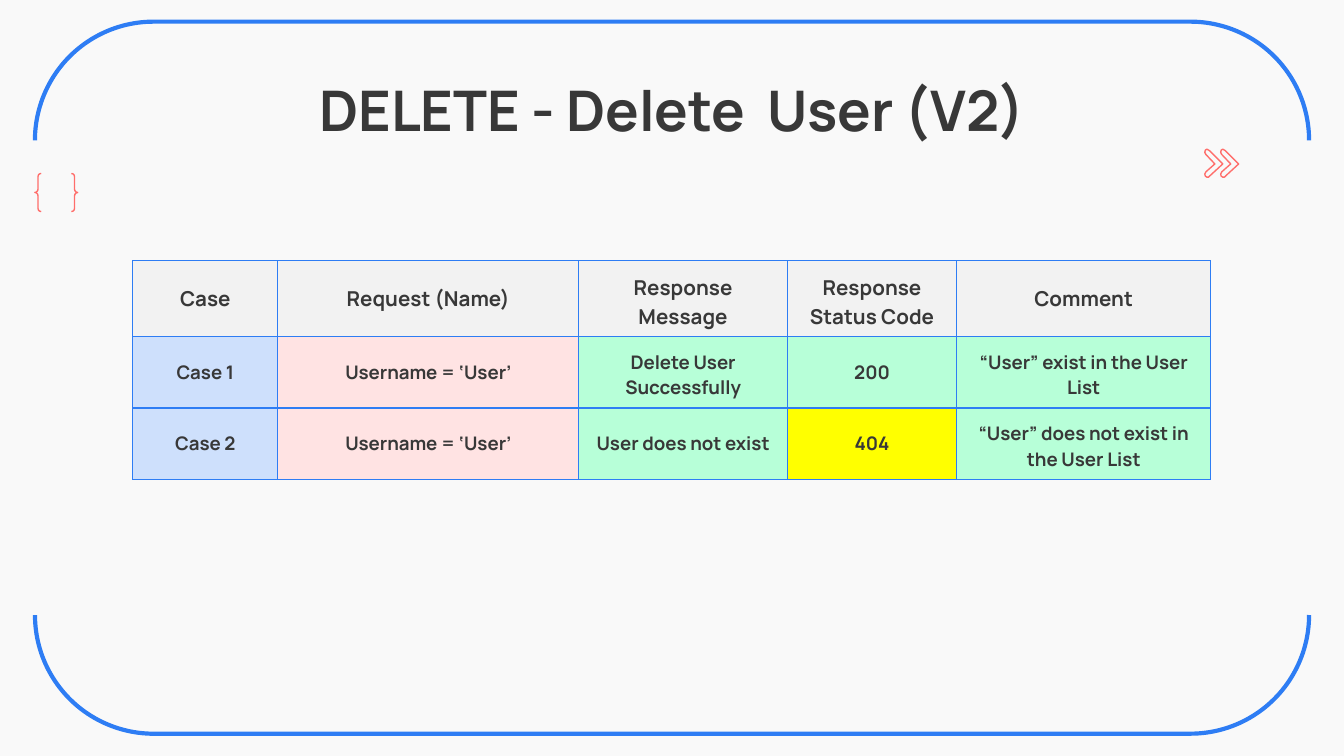
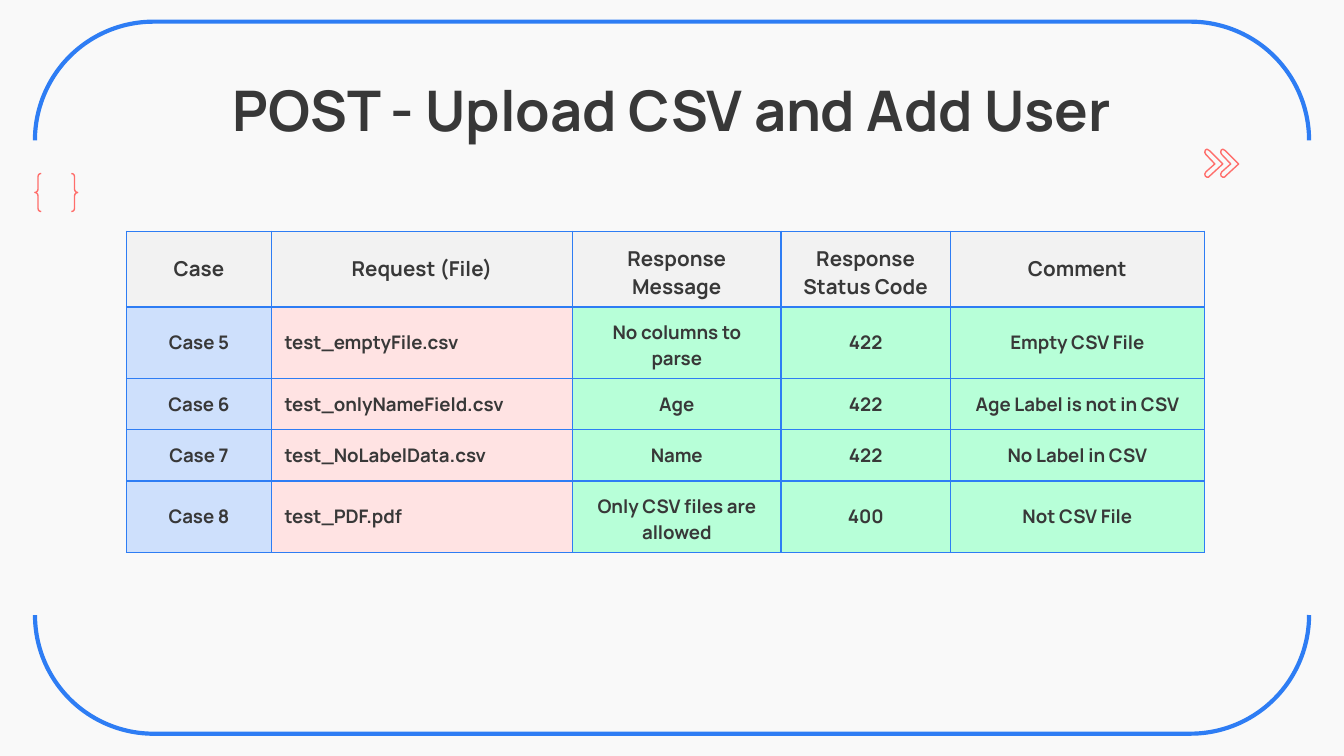
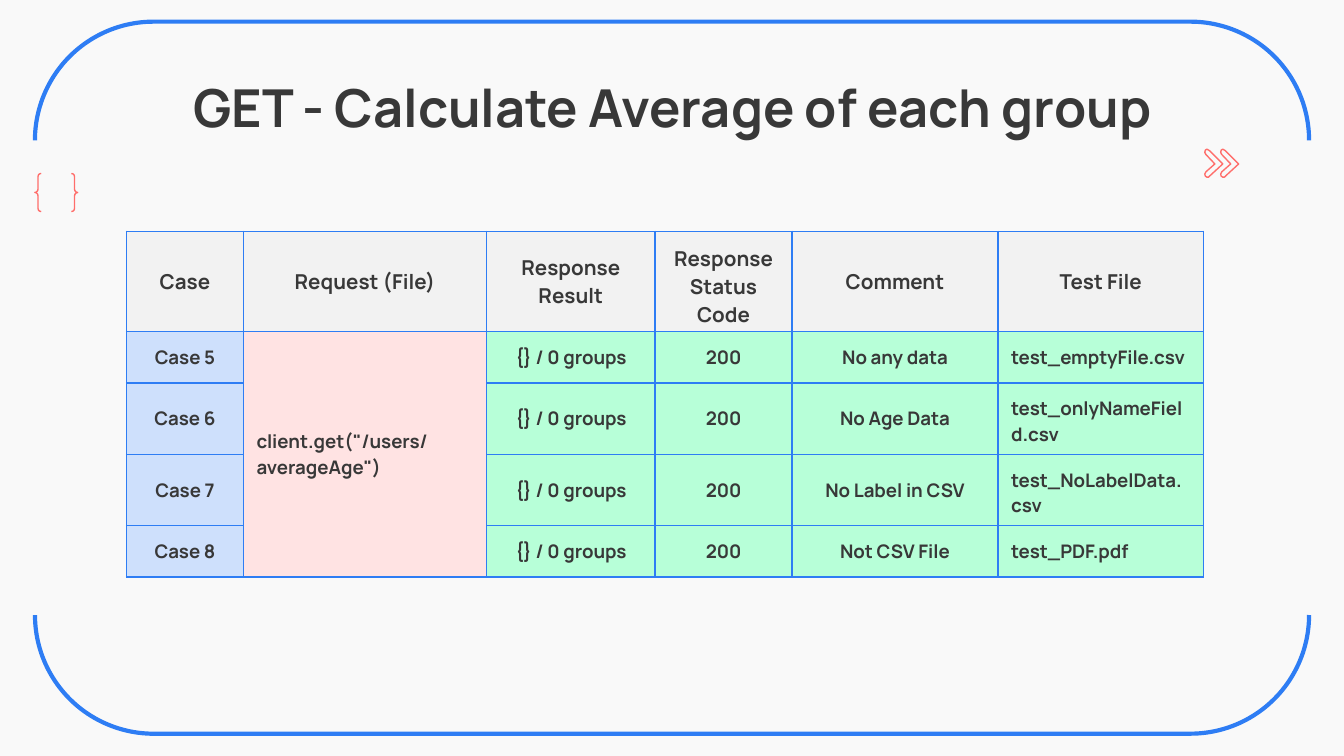
from lxml import etree
from pptx import Presentation
from pptx import util as u
from pptx.dml.color import RGBColor
from pptx.enum import shapes, text
from pptx.oxml import ns

Cm, Pt = u.Cm, u.Pt

PAPER = RGBColor(0xF9, 0xF9, 0xF9)
INK = RGBColor(0x38, 0x38, 0x38)
BLUE = RGBColor(0x2E, 0x7D, 0xF4)
CORAL = RGBColor(0xFF, 0x6E, 0x6B)
GRAY = RGBColor(0xF2, 0xF2, 0xF2)
PALE_BLUE = RGBColor(0xCE, 0xE0, 0xFC)
PINK = RGBColor(0xFF, 0xE3, 0xE3)
MINT = RGBColor(0xB7, 0xFF, 0xD8)
YELLOW = RGBColor(0xFF, 0xFF, 0x00)

FONT = "Manrope"
INSET = Cm(0.25)
ROW_HEIGHT = Cm(0.97)
CHEVRON = [(5, 0), (2, 2), (1, 6), (3, 10), (20, 28), (3, 43), (1, 47),
           (2, 51), (5, 53), (8, 53), (10, 51), (35, 28), (10, 3)]
FIVE_COLUMNS = [2.74, 5.69, 3.94, 3.2, 4.8]
SIX_COLUMNS = [2.21, 4.6, 3.18, 2.59, 3.89, 3.89]

SLIDES = [
    dict(
        title="DELETE - Delete  User (V2)", title_size=30,
        at=(2.51, 4.93), height=4.14, widths=FIVE_COLUMNS, left_columns=(),
        rows=[
            ["Case", "Request (Name)", "Response Message", "Response Status Code", "Comment"],
            ["Case 1", "Username = ‘User’", "Delete User Successfully", "200",
             "“User” exist in the User List"],
            ["Case 2", "Username = ‘User’", "User does not exist", "404",
             "“User” does not exist in the User List"],
        ],
    ),
    dict(
        title="POST - Upload CSV and Add User", title_size=30,
        at=(2.39, 4.37), height=6.1, widths=FIVE_COLUMNS, left_columns=(1,),
        rows=[
            ["Case", "Request (File)", "Response Message", "Response Status Code", "Comment"],
            ["Case 5", "test_emptyFile.csv", "No columns to parse", "422", "Empty CSV File"],
            ["Case 6", "test_onlyNameField.csv", "Age", "422", "Age Label is not in CSV"],
            ["Case 7", "test_NoLabelData.csv", "Name", "422", "No Label in CSV"],
            ["Case 8", "test_PDF.pdf", "Only CSV files are allowed", "400", "Not CSV File"],
        ],
    ),
    dict(
        title="GET - Calculate Average of each group", title_size=28,
        at=(2.39, 4.37), height=6.93, widths=SIX_COLUMNS, left_columns=(1, 5),
        merge=((1, 1), (4, 1)),
        rows=[
            ["Case", "Request (File)", "Response Result", "Response Status Code", "Comment",
             "Test File"],
            ["Case 5", 'client.get("/users/averageAge")', "{} / 0 groups", "200",
             "No any data", "test_emptyFile.csv"],
            ["Case 6", None, "{} / 0 groups", "200", "No Age Data", "test_onlyNameField.csv"],
            ["Case 7", None, "{} / 0 groups", "200", "No Label in CSV", "test_NoLabelData.csv"],
            ["Case 8", None, "{} / 0 groups", "200", "Not CSV File", "test_PDF.pdf"],
        ],
    ),
]


def write(tf, words, size, align=text.PP_ALIGN.CENTER, after=0):
    tf.word_wrap = True
    p = tf.paragraphs[0]
    p.alignment = align
    p.space_after = Pt(after)
    r = p.add_run()
    r.text = words
    r.font.name = FONT
    r.font.size = Pt(size)
    r.font.bold = True
    r.font.color.rgb = INK


def outline(sp, color, width):
    sp.shadow.inherit = False
    sp.line.color.rgb = color
    sp.line.width = Pt(width)


def add_frame(s):
    s.background.fill.solid()
    s.background.fill.fore_color.rgb = PAPER
    for kind, box, turn, color, width in [
        (shapes.MSO_SHAPE.DOUBLE_BRACKET, (5.97, -4.9, 13.46, 24.08), 90, BLUE, 2.25),
        (shapes.MSO_SHAPE.DOUBLE_BRACE, (0.66, 3.28, 0.81, 0.72), 0, CORAL, 0.75),
    ]:
        sp = s.shapes.add_shape(kind, *map(Cm, box))
        sp.rotation = turn
        sp.fill.background()
        outline(sp, color, width)


def add_title(s, words, size):
    tf = s.shapes.add_textbox(Cm(2), Cm(1.24), Cm(21.41), Cm(1.6)).text_frame
    tf.margin_left = tf.margin_right = tf.margin_bottom = INSET
    tf.margin_top = Cm(0.18)
    write(tf, words, size)


def add_chevrons(s):
    group = s.shapes.add_group_shape()
    for left in (23.06, 22.76):
        fb = group.shapes.build_freeform(*CHEVRON[0], scale=Cm(0.01))
        fb.add_line_segments(CHEVRON[1:], close=True)
        sp = fb.convert_to_shape(Cm(left), Cm(2.82))
        sp.fill.solid()
        sp.fill.fore_color.rgb = PAPER
        outline(sp, CORAL, 0.75)


def add_borders(cell):
    tc_pr = cell._tc.get_or_add_tcPr()
    for side in ("a:lnL", "a:lnR", "a:lnT", "a:lnB"):
        ln = etree.SubElement(tc_pr, ns.qn(side), w=str(Pt(0.75)))
        fill = etree.SubElement(ln, ns.qn("a:solidFill"))
        etree.SubElement(fill, ns.qn("a:srgbClr"), val=str(BLUE))


def cell_color(row, column, words):
    if row == 0:
        return GRAY
    if words == "404":
        return YELLOW
    return (PALE_BLUE, PINK)[column] if column < 2 else MINT


def add_cases(s, rows, widths, at, height, left_columns, merge=None):
    frame = s.shapes.add_table(len(rows), len(widths), *map(Cm, at),
                               Cm(sum(widths)), Cm(height))
    table = frame.table
    table.first_row = table.horz_banding = False
    for column, width in zip(table.columns, widths):
        column.width = Cm(width)
    for row in table.rows:
        row.height = ROW_HEIGHT
    frame.height = Cm(height)
    for i, row in enumerate(rows):
        for j, words in enumerate(row):
            cell = table.cell(i, j)
            cell.margin_left = cell.margin_right = INSET
            cell.margin_top = cell.margin_bottom = INSET
            cell.vertical_anchor = text.MSO_ANCHOR.MIDDLE
            add_borders(cell)
            cell.fill.solid()
            cell.fill.fore_color.rgb = cell_color(i, j, words)
            if words:
                left = i > 0 and j in left_columns
                write(cell.text_frame, words, 10 if i else 11,
                      align=text.PP_ALIGN.LEFT if left else text.PP_ALIGN.CENTER,
                      after=16 if j > 1 and not left else 0)
    if merge:
        first, last = merge
        table.cell(*first).merge(table.cell(*last))


def main():
    prs = Presentation()
    prs.slide_width, prs.slide_height = Cm(25.4), Cm(14.29)
    for content in SLIDES:
        s = prs.slides.add_slide(prs.slide_layouts[6])
        add_frame(s)
        add_title(s, content["title"], content["title_size"])
        add_chevrons(s)
        add_cases(s, content["rows"], content["widths"], content["at"], content["height"],
                  content["left_columns"], content.get("merge"))
    prs.save("out.pptx")


if __name__ == "__main__":
    main()
